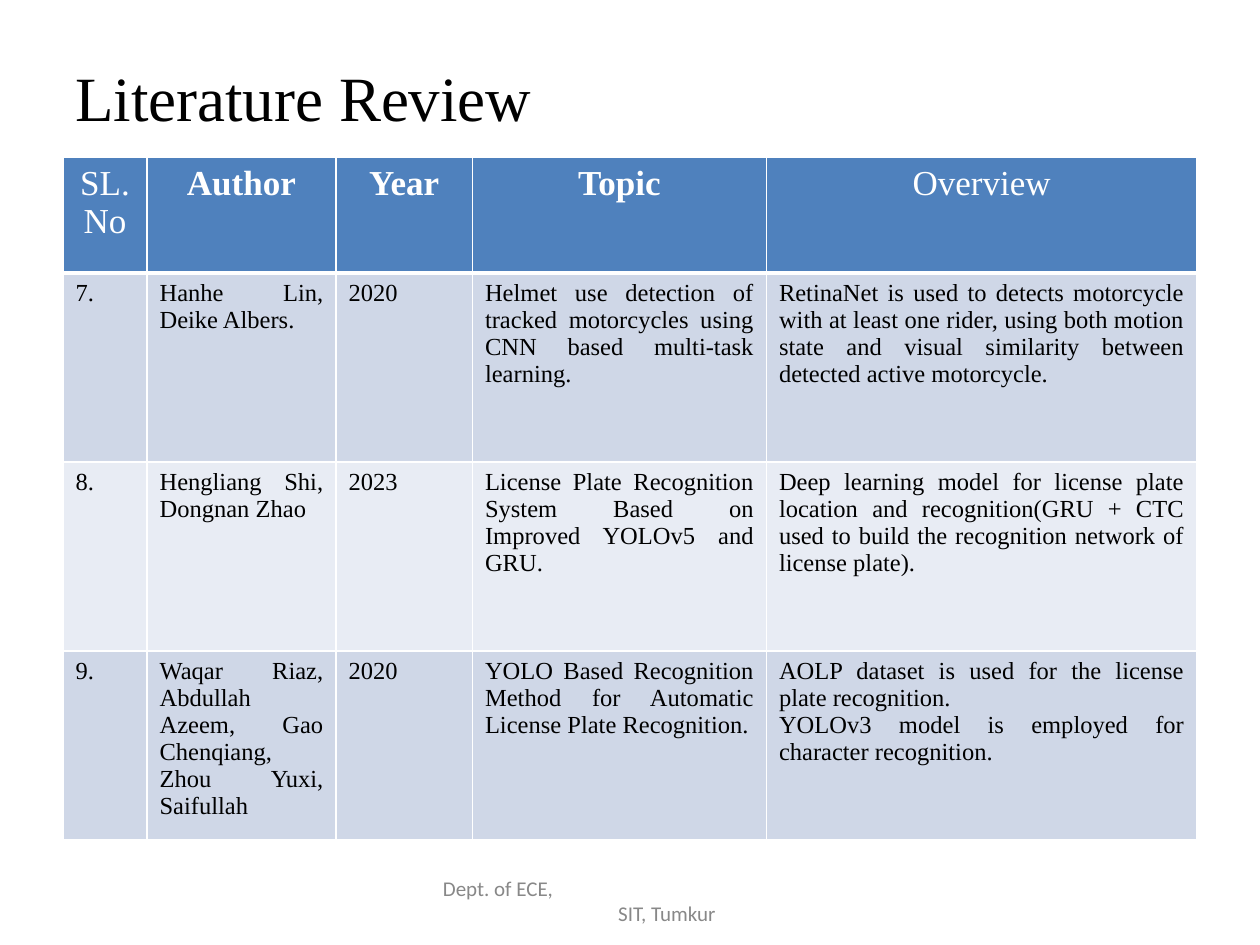
from lxml import etree
from pptx import Presentation, util as u
from pptx.dml.color import RGBColor
from pptx.enum import text
from pptx.oxml import ns

# Grid of twelve units to the inch
UNIT = u.Inches(1) / 12
SERIF, SANS = "Times New Roman", "Calibri"
LEFT, CENTER, JUSTIFY = (text.PP_ALIGN.LEFT, text.PP_ALIGN.CENTER,
                         text.PP_ALIGN.JUSTIFY)
TOP, MIDDLE = text.MSO_ANCHOR.TOP, text.MSO_ANCHOR.MIDDLE

# Header labels with their weight
HEADER = [("SL.No", False), ("Author", True), ("Year", True),
          ("Topic", True), ("Overview", False)]
PAPERS = [
    ["7.", "Hanhe Lin, Deike Albers.", "2020",
     "Helmet use detection of tracked motorcycles using CNN based "
     "multi-task learning.",
     "RetinaNet is used to detects motorcycle with at least one rider, using "
     "both motion state and visual similarity between detected active "
     "motorcycle."],
    ["8.", "Hengliang Shi, Dongnan Zhao", "2023",
     "License Plate Recognition System Based on Improved YOLOv5 and GRU.",
     "Deep learning model for license plate location and recognition(GRU + "
     "CTC used to build the recognition network of license plate)."],
    ["9.", "Waqar Riaz, Abdullah Azeem, Gao Chenqiang, Zhou Yuxi, Saifullah",
     "2020",
     "YOLO Based Recognition Method for Automatic License Plate Recognition.",
     "AOLP dataset is used for the license plate recognition.\n"
     "YOLOv3 model is employed for character recognition."],
]


def units(*values):
    return [round(value * UNIT) for value in values]


def color(hex_string):
    return RGBColor.from_string(hex_string)


def write(frame, content, size, font=SERIF, ink="000000", bold=False,
          align=LEFT, indents=()):
    """Write one paragraph per line; indents are left margins in units."""
    frame.word_wrap = True
    for index, line in enumerate(content.split("\n")):
        paragraph = frame.paragraphs[0] if index == 0 else frame.add_paragraph()
        if index < len(indents):
            margin, = units(indents[index])
            paragraph._p.get_or_add_pPr().set("marL", str(margin))
        paragraph.alignment = align
        run = paragraph.add_run()
        run.text = line
        run.font.name, run.font.size, run.font.bold = font, u.Pt(size), bold
        run.font.color.rgb = color(ink)


class ReviewSlide:
    header_fill = "4F81BD"
    band_fills = ("CFD7E7", "E8ECF4")
    border = "FFFFFF"

    def __init__(self, presentation):
        self.slide = presentation.slides.add_slide(presentation.slide_layouts[6])

    def text_box(self, place, content, anchor=TOP, **style):
        frame = self.slide.shapes.add_textbox(*units(*place)).text_frame
        frame.vertical_anchor = anchor
        write(frame, content, **style)

    def cell(self, cell, content, fill, widths, **style):
        # Border widths come in the order left, right, top, bottom
        properties = cell._tc.get_or_add_tcPr()
        for side, width in zip("LRTB", widths):
            line = etree.SubElement(properties, ns.qn(f"a:ln{side}"),
                                    w=str(u.Pt(width)))
            solid = etree.SubElement(line, ns.qn("a:solidFill"))
            etree.SubElement(solid, ns.qn("a:srgbClr"), val=self.border)
        cell.fill.solid()
        cell.fill.fore_color.rgb = color(fill)
        write(cell.text_frame, content, **style)

    def table(self, left, top, columns, rows, header, body):
        place = units(left, top, sum(columns), sum(rows))
        table = self.slide.shapes.add_table(len(rows), len(columns), *place).table
        for column, width in zip(table.columns, units(*columns)):
            column.width = width
        for row, height in zip(table.rows, units(*rows)):
            row.height = height
        for c, (label, bold) in enumerate(header):
            self.cell(table.cell(0, c), label, self.header_fill, (1, 1, 1, 3),
                      size=20, ink="FFFFFF", bold=bold, align=CENTER)
        for r, entries in enumerate(body):
            widths = (1, 1, 3 if r == 0 else 1, 1)
            for c, entry in enumerate(entries):
                self.cell(table.cell(r + 1, c), entry, self.band_fills[r % 2],
                          widths, size=14, align=JUSTIFY)


def main():
    presentation = Presentation()
    presentation.slide_width, presentation.slide_height = units(120, 90)
    review = ReviewSlide(presentation)

    # Title
    review.text_box((6, 5, 108, 13.5), "Literature Review", size=36)

    # Table of reviewed papers
    review.table(6, 15, columns=(8, 18, 13, 28, 41), rows=(11, 18, 18, 18),
                 header=HEADER, body=PAPERS)

    # Footer, second line stepped in
    review.text_box((41, 83.4, 38, 4.8), "Dept. of ECE,\nSIT, Tumkur",
                    anchor=MIDDLE, size=12, font=SANS, ink="888888",
                    indents=(0, 16.7))

    presentation.save("out.pptx")


if __name__ == "__main__":
    main()
